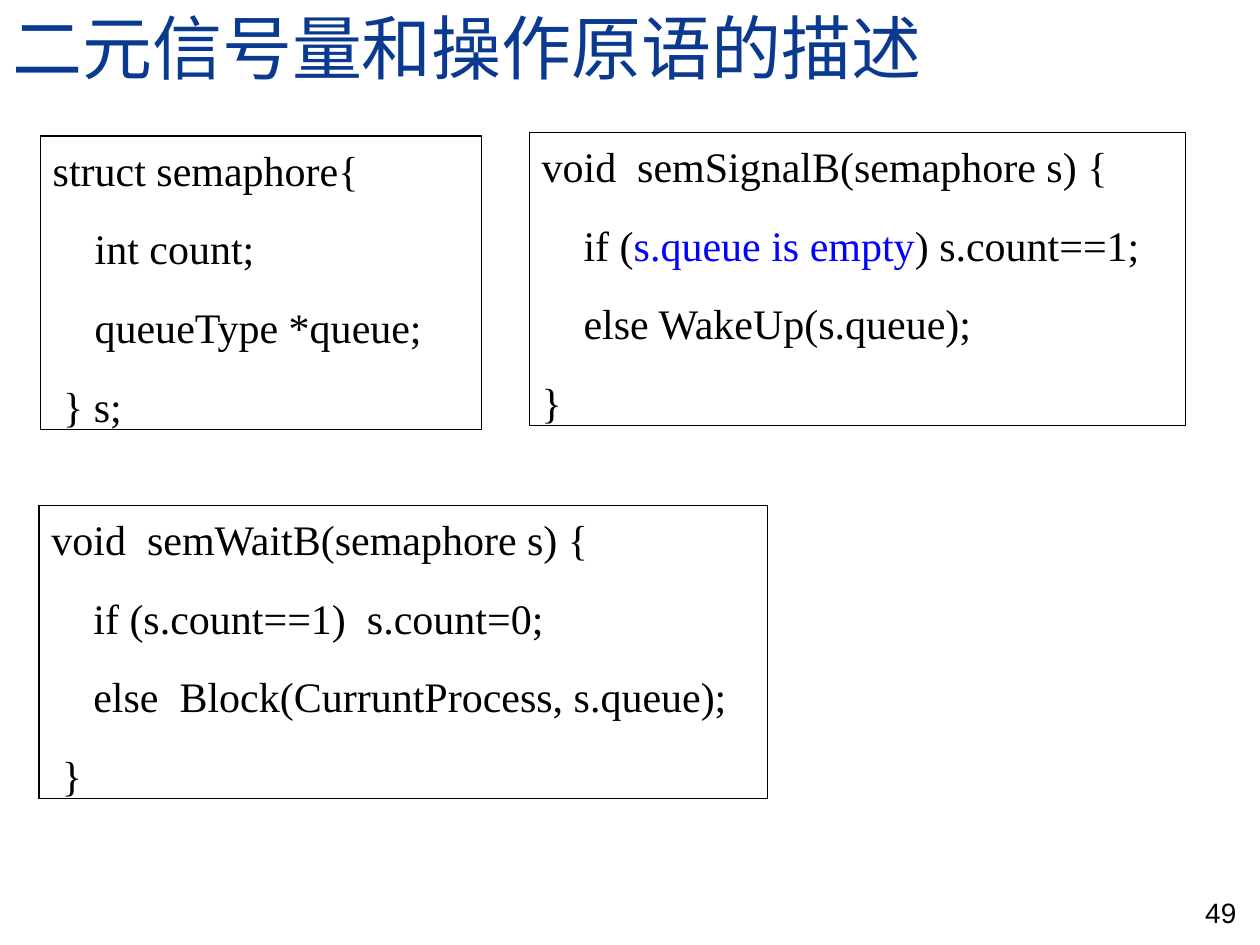
from pptx import Presentation
from pptx import util as u
from pptx.dml import color
from pptx.enum import shapes, text

COLORS = {"title": "0A3A90", "ink": "000000", "mark": "0000FF"}
SERIF = "Times New Roman"

deck = Presentation()
deck.slide_width, deck.slide_height = u.Inches(10), u.Inches(7.5)
slide = deck.slides.add_slide(deck.slide_layouts[6])


def rgb(name):
    return color.RGBColor.from_string(COLORS[name])


def write(shape, lines, size=24, font=SERIF, tint="ink", align="LEFT",
          anchor="TOP", gap=0, space=1.0):
    """Fill a shape with lines; a line is a list of (words, colour) or a string."""
    frame = shape.text_frame
    frame.word_wrap = True
    frame.vertical_anchor = getattr(text.MSO_ANCHOR, anchor)
    for i, line in enumerate(lines):
        para = frame.add_paragraph() if i else frame.paragraphs[0]
        para.alignment = getattr(text.PP_ALIGN, align)
        para.line_spacing = space
        para.space_before = u.Pt(gap if i else 0)
        for words, hue in [(line, tint)] if isinstance(line, str) else line:
            run = para.add_run()
            run.text = words
            run.font.size = u.Pt(size)
            run.font.name = font
            run.font.color.rgb = rgb(hue)


# Slide number and title
page = slide.shapes.add_textbox(*map(u.Inches, (8.33, 6.92, 1.58, 0.5)))
write(page, ["49"], size=16, font="Arial", align="RIGHT", anchor="BOTTOM")

title = slide.shapes.add_textbox(*map(u.Inches, (0, 0, 10, 0.75)))
write(title, ["二元信号量和操作原语的描述"], size=40, tint="title",
      anchor="BOTTOM", space=0.8)

# Code boxes: left, top, width, lines
codes = [
    (0.32, 1.08, 3.5, [
        "struct semaphore{",
        "    int count;",
        "    queueType *queue;",
        " } s;",
    ]),
    (0.31, 4.01, 5.78, [
        "void  semWaitB(semaphore s) {",
        "    if (s.count==1)  s.count=0;",
        "    else  Block(CurruntProcess, s.queue);",
        " }",
    ]),
    (4.2, 1.05, 5.21, [
        "void  semSignalB(semaphore s) {",
        [("    if (", "ink"), ("s.queue is empty", "mark"),
         (") s.count==1;", "ink")],
        "    else WakeUp(s.queue);",
        "}",
    ]),
]
for left, top, width, lines in codes:
    box = slide.shapes.add_shape(
        shapes.MSO_SHAPE.RECTANGLE, *map(u.Inches, (left, top, width, 2.33)))
    box.shadow.inherit = False
    box.fill.background()
    box.line.color.rgb = rgb("ink")
    box.line.width = u.Pt(0.75)
    write(box, lines, gap=15, space=1.04)

deck.save("out.pptx")
